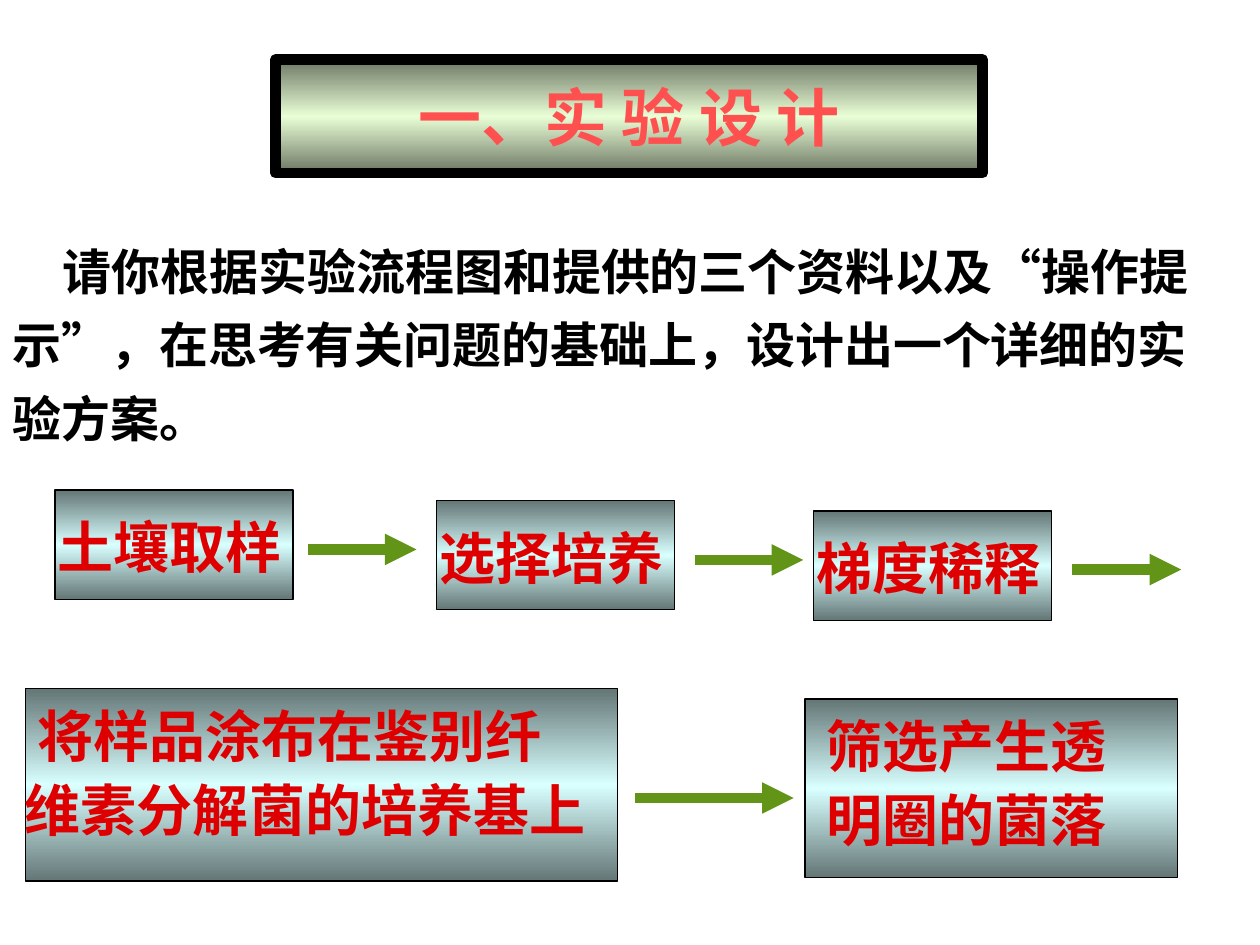
from copy import deepcopy

from lxml import etree
from pptx import Presentation
from pptx.dml.color import RGBColor
from pptx.enum import shapes, text
from pptx.oxml.ns import qn
from pptx.util import Pt

BLACK = RGBColor(0x00, 0x00, 0x00)
TITLE_RED = RGBColor(0xFF, 0x50, 0x50)
STEP_RED = RGBColor(0xDE, 0x00, 0x00)
ARROW_GREEN = RGBColor(0x62, 0x95, 0x17)
TITLE_EDGE, TITLE_MIDDLE = RGBColor(0x6C, 0x76, 0x63), RGBColor(0xE9, 0xFE, 0xD6)
STEP_EDGE, STEP_MIDDLE = RGBColor(0x64, 0x76, 0x76), RGBColor(0xD9, 0xFF, 0xFF)
CJK_FONT = "Noto Sans CJK SC"


def format_box(shape, edge, middle, line_width):
    """Vertical gradient, light in the middle, with a black outline."""
    shape.fill.gradient()
    shape.fill.gradient_angle = 90
    stop_list = shape._element.spPr.find(qn("a:gradFill")).find(qn("a:gsLst"))
    stop_list.append(deepcopy(stop_list[0]))
    colors = [(0, edge), (0.5, middle), (1, edge)]
    for stop, (position, color) in zip(shape.fill.gradient_stops, colors):
        stop.position = position
        stop.color.rgb = color
    shape.line.color.rgb = BLACK
    shape.line.width = Pt(line_width)
    shape.shadow.inherit = False


def format_paragraph(paragraph, size, color, spacing=None, indent=0):
    properties = paragraph._p.get_or_add_pPr()
    properties.set("marL", "0")
    properties.set("indent", str(Pt(indent)))
    paragraph.line_spacing = spacing
    font = paragraph.font
    font.size = Pt(size)
    font.bold = True
    font.color.rgb = color
    font.name = CJK_FONT
    etree.SubElement(properties.find(qn("a:defRPr")), qn("a:ea"), typeface=CJK_FONT)


presentation = Presentation()
presentation.slide_width, presentation.slide_height = Pt(720), Pt(540)
slide = presentation.slides.add_slide(presentation.slide_layouts[5])

# Title
title = slide.shapes.title
title.left, title.top, title.width, title.height = Pt(157.5), Pt(34), Pt(404), Pt(65)
format_box(title, TITLE_EDGE, TITLE_MIDDLE, 6)
title.text_frame.text = "一、实 验 设 计"
title.text_frame.vertical_anchor = text.MSO_ANCHOR.MIDDLE
title.text_frame.paragraphs[0].alignment = text.PP_ALIGN.CENTER
format_paragraph(title.text_frame.paragraphs[0], 36, TITLE_RED)

# Task description
task = slide.shapes.add_textbox(Pt(0), Pt(126), Pt(713), Pt(140))
task.text_frame.word_wrap = True
paragraph = task.text_frame.paragraphs[0]
for part in ("请你根据实验流程图和提供的三个资料以及", "“", "操作提示", "”",
             "，在思考有关问题的基础上，设计出一个详细的实验方案。"):
    run = paragraph.add_run()
    run.text = part
    if part in "“”":
        run.font.name = "Arial"
format_paragraph(paragraph, 28, BLACK, 1.25, 28.8)

# Steps: box, text box (left, width, height), line spacing, (line, indent) pairs
steps = [
    ((31.5, 280, 136, 62.5), (26, 150.5, 55.5), 1.25, [("土壤取样", 0)]),
    ((249.5, 286, 136, 62.5), (244, 150.5, 55.5), 1.25, [("选择培养", 0)]),
    ((465, 292, 136, 62.5), (459.5, 150.5, 55.5), 1.25, [("梯度稀释", 0)]),
    ((14.5, 393.5, 338.5, 110), (0, 374.5, 92), 1.1,
     [("将样品涂布在鉴别纤", 14.4), ("维素分解菌的培养基上", 7.2)]),
    ((460, 399.5, 213, 102), (451, 235.5, 92), 1.1,
     [("筛选产生透", 14.4), ("明圈的菌落", 14.4)]),
]
for (left, top, width, height), (text_left, text_width, text_height), spacing, lines in steps:
    group = slide.shapes.add_group_shape()
    box = group.shapes.add_shape(shapes.MSO_SHAPE.RECTANGLE,
                                 Pt(left), Pt(top), Pt(width), Pt(height))
    format_box(box, STEP_EDGE, STEP_MIDDLE, 0.75)
    label = group.shapes.add_textbox(Pt(text_left), Pt(top), Pt(text_width), Pt(text_height))
    label.text_frame.word_wrap = True
    label.text_frame.text = "\n".join(line for line, _ in lines)
    for paragraph, (_, indent) in zip(label.text_frame.paragraphs, lines):
        format_paragraph(paragraph, 32, STEP_RED, spacing, indent)

# Arrows between steps: start, end, height on the slide
for start, end, y in [(176, 238, 314), (397, 459, 320), (612.5, 675, 325.5), (363, 453.5, 456)]:
    arrow = slide.shapes.add_connector(shapes.MSO_CONNECTOR.STRAIGHT,
                                       Pt(start), Pt(y), Pt(end), Pt(y))
    arrow.line.color.rgb = ARROW_GREEN
    arrow.line.width = Pt(6)
    etree.SubElement(arrow.line._get_or_add_ln(), qn("a:tailEnd"), type="triangle")
    etree.SubElement(arrow._element.spPr, qn("a:effectLst"))

presentation.save("out.pptx")
